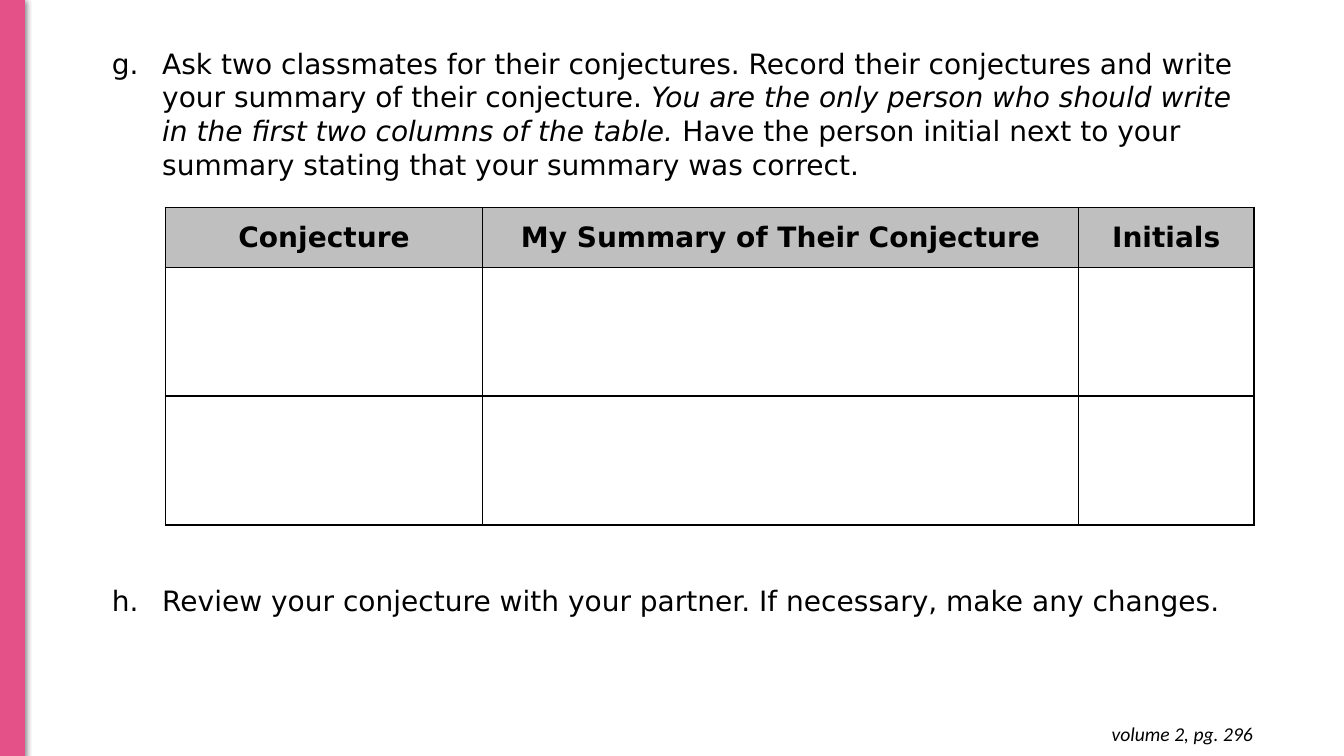
from lxml.etree import SubElement
from pptx import Presentation
from pptx.dml.color import RGBColor
from pptx.enum.shapes import MSO_SHAPE
from pptx.enum.text import MSO_ANCHOR, PP_ALIGN
from pptx.oxml.ns import qn
from pptx.util import Pt

BODY_FONT = "DejaVu Sans"
BLACK, PINK, GREY = "000000", "E45088", "BFBFBF"

TASKS = [
    [("Ask two classmates for their conjectures. Record their conjectures and "
      "write your summary of their conjecture. ", False),
     ("You are the only person who should write in the first two columns of "
      "the table.", True),
     (" Have the person initial next to your summary stating that your summary "
      "was correct.", False)],
    [("Review your conjecture with your partner. If necessary, make any "
      "changes.", False)],
]
HEADINGS = ["Conjecture", "My Summary of Their Conjecture", "Initials"]
COLUMN_WIDTHS = [226.8, 425.5, 125.3]
ROW_HEIGHTS = [42.5, 92.1, 92.1]


def color(value):
    return RGBColor.from_string(value)


def add_element(parent, tag, **attributes):
    element = SubElement(parent, qn(tag))
    for name, value in attributes.items():
        element.set(name, str(value))
    return element


def add_solid_color(parent, value):
    return add_element(add_element(parent, "a:solidFill"), "a:srgbClr", val=value)


def style_font(paragraph, name, size, bold=None, italic=None):
    font = paragraph.font
    font.name, font.size = name, Pt(size)
    font.bold, font.italic = bold, italic
    font.color.rgb = color(BLACK)


def add_text_frame(slide, left, top, width, height):
    frame = slide.shapes.add_textbox(Pt(left), Pt(top), Pt(width), Pt(height)).text_frame
    frame.word_wrap = True
    return frame


def add_side_bar(slide):
    bar = slide.shapes.add_shape(MSO_SHAPE.RECTANGLE, Pt(0), Pt(-0.5), Pt(17.5), Pt(541))
    bar.fill.solid()
    bar.fill.fore_color.rgb = color(PINK)
    bar.line.color.rgb = color(PINK)
    bar.line.width = Pt(0.75)
    # Soft shadow falling downwards
    bar.shadow.inherit = False
    effects = bar._element.spPr.find(qn("a:effectLst"))
    shadow = add_element(effects, "a:outerShdw", blurRad=Pt(4.5), dist=Pt(1.5),
                         dir=5400000, rotWithShape=0)
    shadow_color = add_element(shadow, "a:srgbClr", val=BLACK)
    add_element(shadow_color, "a:alpha", val=50000)


def add_lettered_list(slide, tasks, start, gap):
    frame = add_text_frame(slide, 38.2, 29.5, 869, 419)
    for index, task in enumerate(tasks):
        paragraph = frame.paragraphs[0] if index == 0 else frame.add_paragraph()
        if index > 0:
            paragraph.space_before = Pt(gap)
        properties = paragraph._p.get_or_add_pPr()
        properties.set("marL", str(Pt(70.6)))
        properties.set("indent", str(Pt(-36)))
        bullet_color = add_element(properties, "a:buClr")
        add_element(bullet_color, "a:srgbClr", val=BLACK)
        add_element(properties, "a:buFont", typeface=BODY_FONT)
        add_element(properties, "a:buAutoNum", type="alphaLcPeriod", startAt=start)
        style_font(paragraph, BODY_FONT, 20)
        for text, italic in task:
            run = paragraph.add_run()
            run.text = text
            run.font.italic = italic


def add_cell_borders(cell):
    properties = cell._tc.get_or_add_tcPr()
    for side in ("a:lnL", "a:lnR", "a:lnT", "a:lnB"):
        add_solid_color(add_element(properties, side, w=Pt(1)), BLACK)


def fill_heading(cell, text):
    cell.fill.solid()
    cell.fill.fore_color.rgb = color(GREY)
    cell.vertical_anchor = MSO_ANCHOR.MIDDLE
    cell.margin_left = cell.margin_right = Pt(3.6)
    cell.margin_top = cell.margin_bottom = Pt(0)
    cell.text = text
    paragraph = cell.text_frame.paragraphs[0]
    paragraph.alignment = PP_ALIGN.CENTER
    paragraph.space_after = Pt(10)
    style_font(paragraph, BODY_FONT, 20, bold=True)


def add_record_table(slide):
    table = slide.shapes.add_table(
        len(ROW_HEIGHTS), len(COLUMN_WIDTHS), Pt(118.1), Pt(148.3),
        Pt(sum(COLUMN_WIDTHS)), Pt(sum(ROW_HEIGHTS))).table
    table.horz_banding = False
    for column, width in zip(table.columns, COLUMN_WIDTHS):
        column.width = Pt(width)
    for row, height in zip(table.rows, ROW_HEIGHTS):
        row.height = Pt(height)
    for cell in table.iter_cells():
        add_cell_borders(cell)
        cell.fill.background()
    for cell, heading in zip(table.rows[0].cells, HEADINGS):
        fill_heading(cell, heading)


def add_page_reference(slide, text):
    frame = add_text_frame(slide, 694.8, 508.3, 207.4, 31.7)
    frame.margin_top = frame.margin_bottom = Pt(7.2)
    paragraph = frame.paragraphs[0]
    paragraph.text = text
    paragraph.alignment = PP_ALIGN.RIGHT
    style_font(paragraph, "Calibri", 14, italic=True)


def main():
    presentation = Presentation()
    presentation.slide_width, presentation.slide_height = Pt(960), Pt(540)
    slide = presentation.slides.add_slide(presentation.slide_layouts[6])

    add_side_bar(slide)
    # The gap between the two tasks leaves room for the table
    add_lettered_list(slide, TASKS, start=7, gap=288)
    add_record_table(slide)
    add_page_reference(slide, "volume 2, pg. 296")

    presentation.save("out.pptx")


if __name__ == "__main__":
    main()
